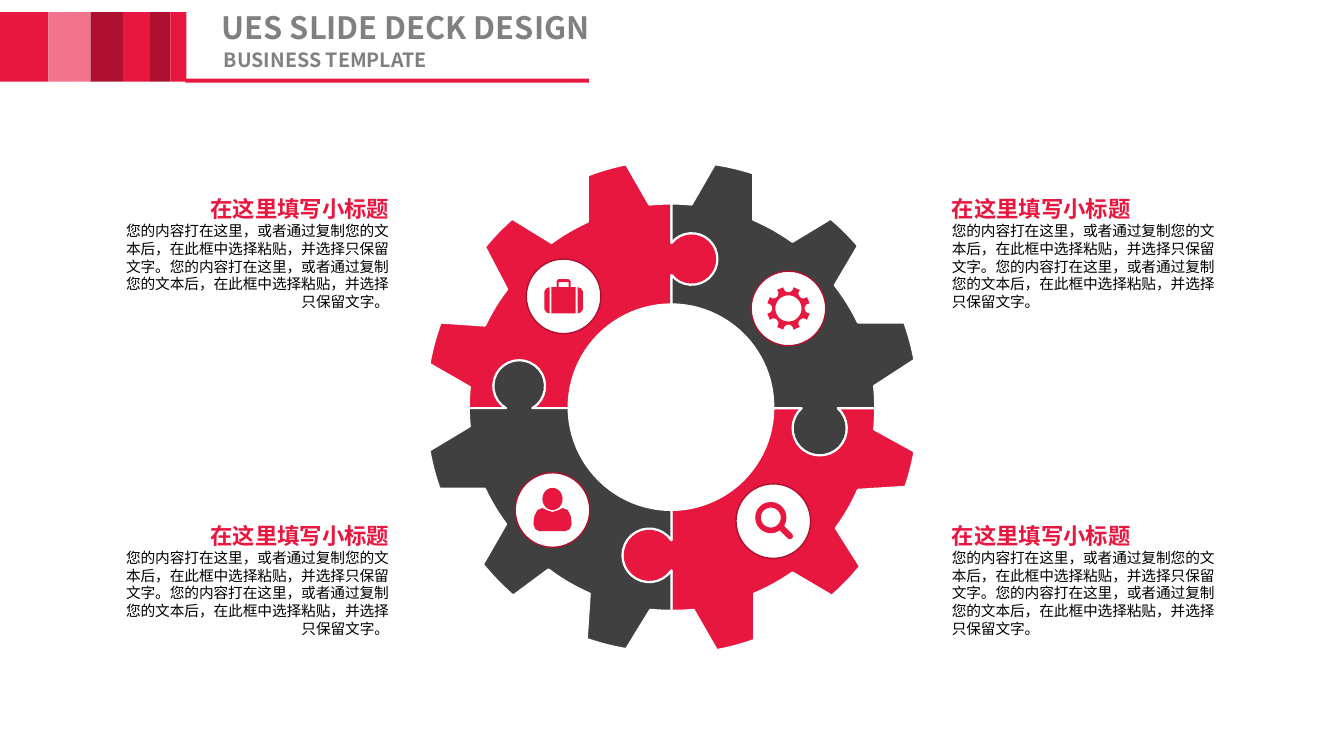
import math

import lxml.etree
import pptx
import pptx.dml.color
import pptx.enum.shapes
import pptx.enum.text
import pptx.oxml.ns
import pptx.util

FONT = "Noto Sans CJK SC"
RED, PINK, WINE = "E8173F", "F1748C", "AE112F"
DARK, GREY, WHITE, BLACK = "404040", "808080", "FFFFFF", "000000"
SHAPE = pptx.enum.shapes.MSO_SHAPE
ALIGN = pptx.enum.text.PP_ALIGN
CENTRE = (6.66, 4.04)

HEADING = "在这里填写小标题"
SENTENCE = "您的内容打在这里，或者通过复制您的文本后，在此框中选择粘贴，并选择只保留文字。"
BARS = [(0.48, RED), (0.42, PINK), (0.32, WINE), (0.27, RED), (0.2, WINE), (0.16, RED)]

RIMS = [
    [(4.65, 4.05), (4.66, 3.84), (4.26, 3.61), (4.37, 3.2), (4.81, 3.23), (5.03, 2.87), (4.81, 2.45),
     (5.08, 2.17), (5.47, 2.41), (5.83, 2.2), (5.83, 1.74), (6.21, 1.63), (6.44, 2.03), (6.66, 2.02)],
    [(6.66, 2.02), (6.86, 2.03), (7.09, 1.63), (7.47, 1.72), (7.47, 2.18), (7.86, 2.4), (8.24, 2.17),
     (8.51, 2.44), (8.28, 2.83), (8.51, 3.2), (8.97, 3.2), (9.07, 3.57), (8.67, 3.83), (8.68, 4.05)],
    [(8.68, 4.05), (8.67, 4.26), (9.07, 4.48), (8.98, 4.83), (8.51, 4.86), (8.29, 5.24), (8.53, 5.62),
     (8.25, 5.91), (7.86, 5.68), (7.48, 5.89), (7.48, 6.35), (7.11, 6.45), (6.88, 6.05), (6.66, 6.06)],
    [(6.66, 6.06), (6.45, 6.05), (6.21, 6.44), (5.82, 6.34), (5.85, 5.89), (5.44, 5.65), (5.09, 5.91),
     (4.79, 5.6), (5.02, 5.2), (4.81, 4.85), (4.36, 4.85), (4.26, 4.47), (4.66, 4.23), (4.65, 4.05)],
]
# Each seam: outer neck, inner neck, knob centre, end at the hole.
SEAMS = [
    ((6.66, 2.41), (6.66, 2.73), (6.86, 2.57), (6.66, 3.02)),
    ((8.31, 4.05), (7.95, 4.05), (8.13, 4.25), (7.67, 4.05)),
    ((6.66, 5.66), (6.66, 5.36), (6.44, 5.51), (6.66, 5.06)),
    ((5.02, 4.05), (5.28, 4.05), (5.15, 3.83), (5.64, 4.05)),
]


def length(inches):
    return pptx.util.Cm(inches * 2.54)


def colour(value):
    return pptx.dml.color.RGBColor.from_string(value)


def paint(shape, fill, line=None, width=1):
    shape.shadow.inherit = False
    shape.fill.solid()
    shape.fill.fore_color.rgb = colour(fill)
    if line:
        shape.line.color.rgb = colour(line)
        shape.line.width = pptx.util.Pt(width)
    else:
        shape.line.fill.background()
    return shape


def add_preset(page, kind, place, fill, line=None):
    return paint(page.shapes.add_shape(kind, *map(length, place)), fill, line)


def add_outline(page, contours, fill, line=None, width=1):
    contours = [[(length(x), length(y)) for x, y in contour] for contour in contours]
    builder = page.shapes.build_freeform(*contours[0][0])
    builder.add_line_segments(contours[0][1:], close=True)
    for contour in contours[1:]:
        builder.move_to(*contour[0])
        builder.add_line_segments(contour[1:], close=True)
    return paint(builder.convert_to_shape(), fill, line, width)


def on_circle(centre, radius, angle):
    return centre[0] + radius * math.cos(angle), centre[1] + radius * math.sin(angle)


def sweep(start, end, centre, long_way=False, steps=24):
    radii = [math.dist(centre, point) for point in (start, end)]
    angles = [math.atan2(y - centre[1], x - centre[0]) for x, y in (start, end)]
    turn = math.remainder(angles[1] - angles[0], math.tau)
    if long_way:
        turn -= math.copysign(math.tau, turn)
    return [on_circle(centre, radii[0] + (radii[1] - radii[0]) * step / steps,
                      angles[0] + turn * step / steps) for step in range(steps + 1)]


def add_gear_piece(page, index, fill):
    rim = RIMS[index]
    points = []
    for start, end in zip(rim[::2], rim[1::2]):
        points += sweep(start, end, CENTRE, steps=6)
    outer, inner, knob, hole_start = SEAMS[index]
    points += sweep(outer, inner, knob, long_way=True)
    outer, inner, knob, hole_end = SEAMS[index - 1]
    points += sweep(hole_start, hole_end, CENTRE)
    points += sweep(inner, outer, knob, long_way=True)
    add_outline(page, [points], fill, WHITE, 1.5)


def add_badge(page, left, top):
    add_preset(page, SHAPE.OVAL, (left, top, 0.74, 0.74), WHITE, WINE)


def mirrored(points, axis):
    return [(2 * axis - x, y) for x, y in reversed(points)]


def add_person(page):
    add_badge(page, 5.11, 4.69)
    half = [(5.48, 5.08), (5.42, 5.06), (5.38, 5.04), (5.33, 5.06), (5.3, 5.12),
            (5.29, 5.2), (5.31, 5.25), (5.35, 5.27)]
    add_outline(page, [half + mirrored(half, 5.48)], RED)
    add_preset(page, SHAPE.OVAL, (5.38, 4.84, 0.2, 0.22), RED)


def add_magnifier(page):
    add_badge(page, 7.3, 4.8)
    lens = add_preset(page, SHAPE.DONUT, (7.49, 4.98, 0.31, 0.31), RED)
    lens.adjustments[0] = 0.18
    handle = add_preset(page, SHAPE.ROUNDED_RECTANGLE, (7.71, 5.25, 0.17, 0.06), RED)
    handle.adjustments[0] = 0.5
    handle.rotation = 45


def add_cog(page):
    add_badge(page, 7.45, 2.69)
    middle, outline = (7.82, 3.06), []
    for notch in range(8):
        angle = notch * math.tau / 8
        dent = on_circle(middle, 0.21, angle)
        outline += [on_circle(dent, 0.05, angle - math.pi / 2 - step * math.pi / 8) for step in range(9)]
    ring = [on_circle(middle, 0.13, step * math.tau / 48) for step in range(48)]
    add_outline(page, [outline, ring], RED)


def add_briefcase(page):
    add_badge(page, 5.22, 2.57)
    flap = [(5.45, 2.85), (5.45, 3.11), (5.42, 3.1), (5.4, 3.07), (5.4, 2.89), (5.42, 2.86)]
    half = [(5.59, 3.11), (5.47, 3.11), (5.47, 2.85), (5.52, 2.85), (5.52, 2.79), (5.54, 2.77)]
    grip = [(5.54, 2.8), (5.54, 2.85), (5.64, 2.85), (5.64, 2.8)]
    add_outline(page, [flap], RED)
    add_outline(page, [half + mirrored(half, 5.59), grip], RED)
    add_outline(page, [mirrored(flap, 5.59)], RED)


def add_span(para, text, size, shade, bold):
    span = para.add_run()
    span.text = text
    span.font.size = pptx.util.Pt(size)
    span.font.bold = bold
    span.font.color.rgb = colour(shade)
    span.font.name = FONT
    east = lxml.etree.SubElement(span.font._element, pptx.oxml.ns.qn("a:ea"))
    east.set("typeface", FONT)


def prepare_frame(box, wrap):
    frame = box.text_frame
    frame.auto_size = pptx.enum.text.MSO_AUTO_SIZE.NONE
    frame.word_wrap = wrap
    frame.margin_left = frame.margin_top = frame.margin_right = frame.margin_bottom = 0
    return frame


def fill_placeholder(box, place, text, size, wrap):
    box.left, box.top, box.width, box.height = map(length, place)
    frame = prepare_frame(box, wrap)
    frame.vertical_anchor = pptx.enum.text.MSO_ANCHOR.MIDDLE
    para = frame.paragraphs[0]
    para.alignment = ALIGN.LEFT
    para.line_spacing = 0.9
    para.space_before = pptx.util.Pt(0)
    add_span(para, text, size, GREY, True)


def add_note(page, left, top, width, alignment):
    frame = prepare_frame(page.shapes.add_textbox(*map(length, (left, top, width, 1.15))), True)
    heading, body = frame.paragraphs[0], frame.add_paragraph()
    heading.line_spacing, body.line_spacing = pptx.util.Pt(19.8), pptx.util.Pt(12.6)
    heading.alignment = body.alignment = alignment
    add_span(heading, HEADING, 16, RED, True)
    add_span(body, SENTENCE * 2, 10.5, BLACK, False)


def add_header(page):
    left = 0
    for width, fill in BARS:
        add_preset(page, SHAPE.RECTANGLE, (left, 0.12, width, 0.69), fill)
        left += width
    add_preset(page, SHAPE.RECTANGLE, (1.84, 0.78, 4, 0.04), RED)
    title, subtitle = page.placeholders
    fill_placeholder(title, (2.2, 0.12, 4.86, 0.34), "UES SLIDE DECK DESIGN", 22, False)
    fill_placeholder(subtitle, (2.22, 0.5, 2.84, 0.22), "BUSINESS TEMPLATE", 14, True)


def main():
    deck = pptx.Presentation()
    deck.slide_width, deck.slide_height = length(13.33), length(7.5)
    page = deck.slides.add_slide(deck.slide_layouts[2])
    add_header(page)
    for index, fill in enumerate([RED, DARK, RED, DARK]):
        add_gear_piece(page, index, fill)
    for add_icon in (add_person, add_magnifier, add_cog, add_briefcase):
        add_icon(page)
    for top in (1.93, 5.17):
        add_note(page, 9.44, top, 2.67, ALIGN.LEFT)
        add_note(page, 1.14, top, 2.72, ALIGN.RIGHT)
    deck.save("out.pptx")


if __name__ == "__main__":
    main()
